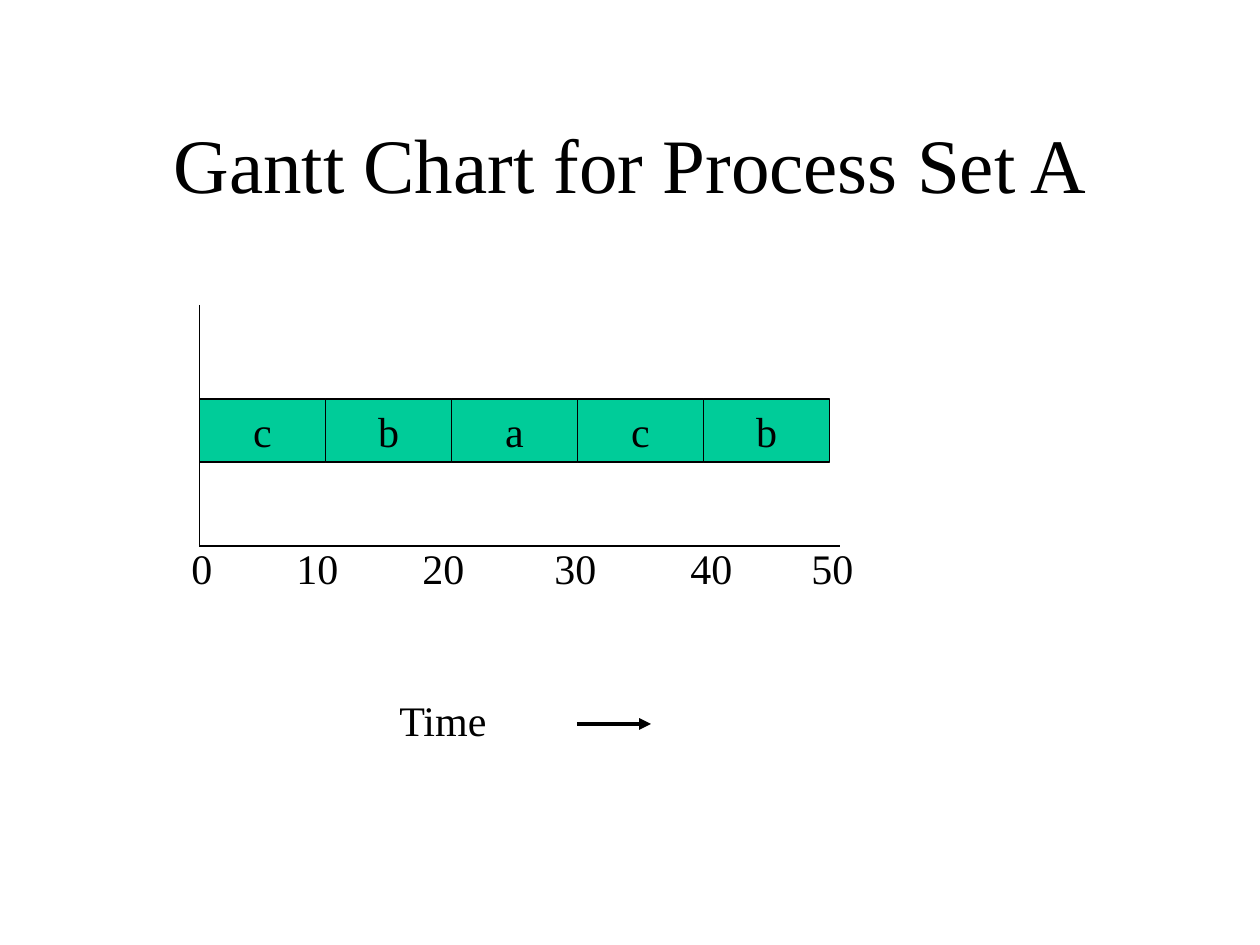
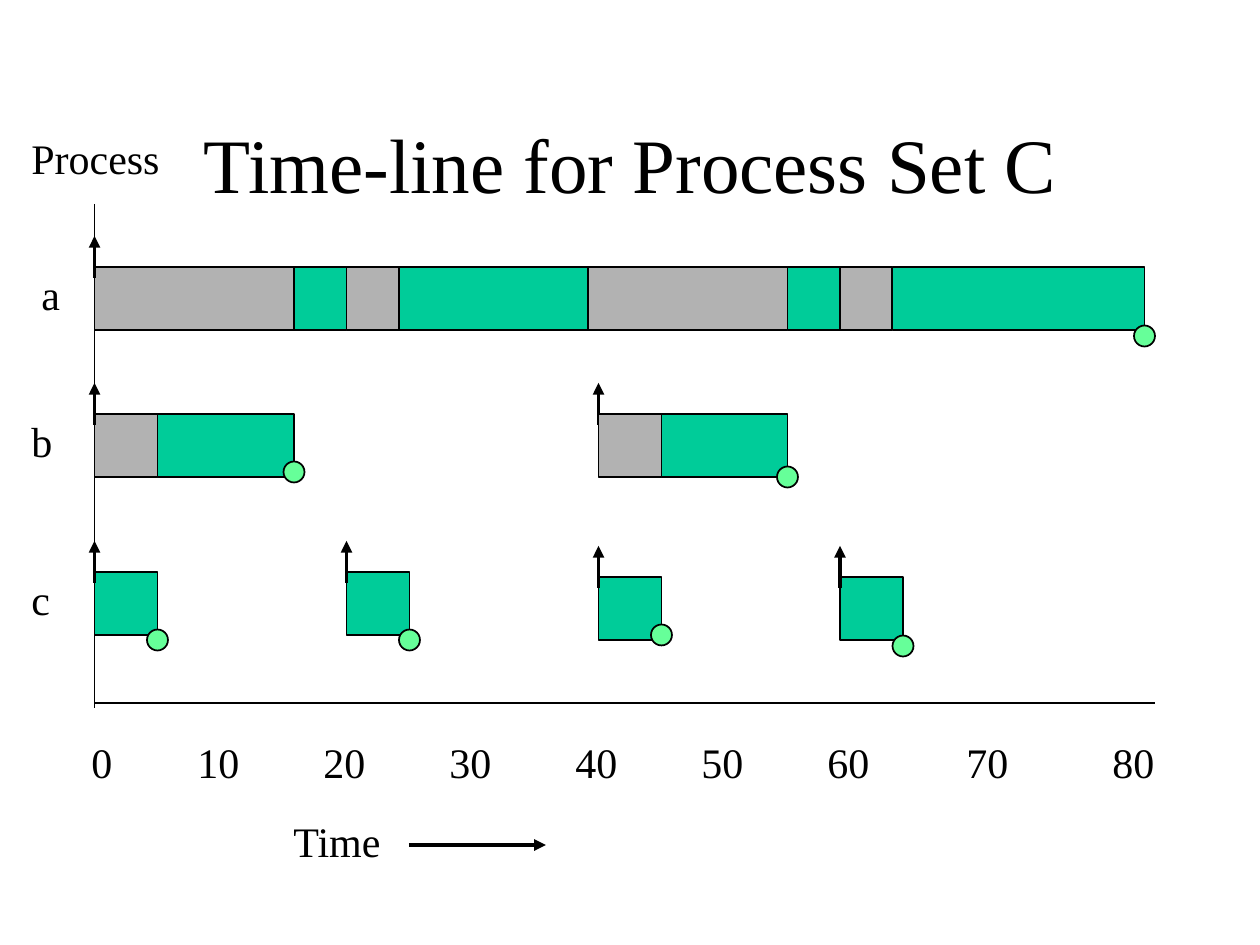
from dataclasses import dataclass
from itertools import cycle, pairwise

from lxml import etree
from pptx import Presentation
from pptx import util as u
from pptx.dml.color import RGBColor
from pptx.enum import shapes, text
from pptx.oxml.ns import qn

PX = u.Inches(1) / 126  # one scale: 126 px to the inch


@dataclass(frozen=True)
class Theme:
    font: str = "Times New Roman"
    ink: str = "000000"
    running: str = "00CC99"
    waiting: str = "B2B2B2"
    done: str = "66FF99"
    title_size: int = 44
    body_size: int = 24
    thin: float = 1
    thick: float = 2.25


THEME = Theme()
BAR_HEIGHT = 63
DOT = 21


def px(*lengths):
    return [round(length * PX) for length in lengths]


def apply(target, values):
    for name, value in values.items():
        setattr(target, name, value)


def write(shape, words, size=THEME.body_size, wrap=False,
          align=text.PP_ALIGN.LEFT, anchor=text.MSO_ANCHOR.TOP):
    frame = shape.text_frame
    apply(frame, {"word_wrap": wrap, "vertical_anchor": anchor})
    paragraph = frame.paragraphs[0]
    apply(paragraph, {"text": words, "alignment": align})
    apply(paragraph.font, {"name": THEME.font, "size": u.Pt(size)})
    paragraph.font.color.rgb = RGBColor.from_string(THEME.ink)


def ink_line(line, width):
    line.color.rgb = RGBColor.from_string(THEME.ink)
    line.width = u.Pt(width)


# Elements
def add_title(slide, words):
    box = slide.shapes.add_textbox(*px(95, 84, 1071, 158))
    write(box, words, THEME.title_size, True,
          text.PP_ALIGN.CENTER, text.MSO_ANCHOR.MIDDLE)


def add_label(slide, words, left, top, width):
    write(slide.shapes.add_textbox(*px(left, top, width, 63)), words)


def add_ticks(slide, lefts, top):
    for index, left in enumerate(lefts):
        add_label(slide, str(index * 10), left, top, 67 if index else 45)


def add_filled(slide, kind, colour, left, top, width, height):
    shape = slide.shapes.add_shape(kind, *px(left, top, width, height))
    shape.shadow.inherit = False
    shape.fill.solid()
    shape.fill.fore_color.rgb = RGBColor.from_string(colour)
    ink_line(shape.line, THEME.thin)
    return shape


def add_bar(slide, left, right, top, colour=THEME.running):
    return add_filled(slide, shapes.MSO_SHAPE.RECTANGLE, colour,
                      left, top, right - left, BAR_HEIGHT)


def add_bars(slide, edges, top, colours):
    for (left, right), colour in zip(pairwise(edges), cycle(colours)):
        add_bar(slide, left, right, top, colour)


def add_done_dot(slide, x, y):
    add_filled(slide, shapes.MSO_SHAPE.OVAL, THEME.done,
               x - DOT / 2, y - DOT / 2, DOT, DOT)


def add_line(slide, start, end, width=THEME.thin, arrow=False):
    connector = slide.shapes.add_connector(
        shapes.MSO_CONNECTOR.STRAIGHT, *px(*start, *end))
    ink_line(connector.line, width)
    properties = connector._element.spPr
    if arrow:
        outline = properties.find(qn("a:ln"))
        etree.SubElement(outline, qn("a:tailEnd"), type="triangle")
    etree.SubElement(properties, qn("a:effectLst"))


def add_arrow(slide, start, end):
    add_line(slide, start, end, THEME.thick, arrow=True)


def add_release(slide, x, bar_top):
    add_arrow(slide, (x, bar_top + 11), (x, bar_top - 31))


# Slides
def build_gantt_chart(slide):
    add_title(slide, "Gantt Chart for Process Set A")
    origin, slot, baseline = 199.5, 126, 546
    for index, process in enumerate("cbacb"):
        left = origin + index * slot
        bar = add_bar(slide, left, left + slot, 399)
        write(bar, process, align=text.PP_ALIGN.CENTER,
              anchor=text.MSO_ANCHOR.MIDDLE)
    add_line(slide, (origin, 305), (origin, baseline))
    add_line(slide, (origin, baseline), (840, baseline))
    add_ticks(slide, [179, 284, 410, 542, 678, 799], 536)
    add_label(slide, "Time", 387, 688, 113)
    add_arrow(slide, (577, 724), (651, 724))


def build_time_line(slide):
    add_title(slide, "Time-line for Process Set C")
    origin, row_a, row_b, row_c = 94.5, 267, 414, 572
    late_c = row_c + 5
    wait_then_run = (THEME.waiting, THEME.running)

    # Axes and labels
    add_line(slide, (origin, 204), (origin, 708))
    add_line(slide, (origin, 703), (1155, 703))
    add_ticks(slide, [79, *range(185, 816, 126), 954, 1100], 730)
    add_label(slide, "Time", 281, 809, 113)
    add_arrow(slide, (409, 845), (546, 845))
    add_label(slide, "Process", 19, 126, 154)
    for process, left, top in (("a", 29, row_a), ("b", 19, row_b), ("c", 19, row_c)):
        add_label(slide, process, left, top - 5, 45)

    # Process a
    add_bars(slide, [origin, 294, 346.5, 399, 588, 787.5, 840, 892.5, 1144.5],
             row_a, wait_then_run)
    add_release(slide, origin, row_a)
    add_done_dot(slide, 1144.5, 336)

    # Process b: the second release stands behind its bar
    add_release(slide, 598.5, row_b)
    for edges in ([origin, 157.5, 294], [598.5, 661.5, 787.5]):
        add_bars(slide, edges, row_b, wait_then_run)
    add_release(slide, origin, row_b)
    add_done_dot(slide, 294, 472)
    add_done_dot(slide, 787.5, 477)

    # Process c
    for left, top, dot_y in ((origin, row_c, 640), (346.5, row_c, 640),
                             (598.5, late_c, 635), (840, late_c, 646)):
        add_bar(slide, left, left + BAR_HEIGHT, top)
        add_release(slide, left, top)
        add_done_dot(slide, left + BAR_HEIGHT, dot_y)


def main():
    presentation = Presentation()
    width, height = px(1260, 945)
    apply(presentation, {"slide_width": width, "slide_height": height})
    blank = presentation.slide_layouts[6]
    for build in (build_gantt_chart, build_time_line):
        build(presentation.slides.add_slide(blank))
    presentation.save("out.pptx")


if __name__ == "__main__":
    main()
